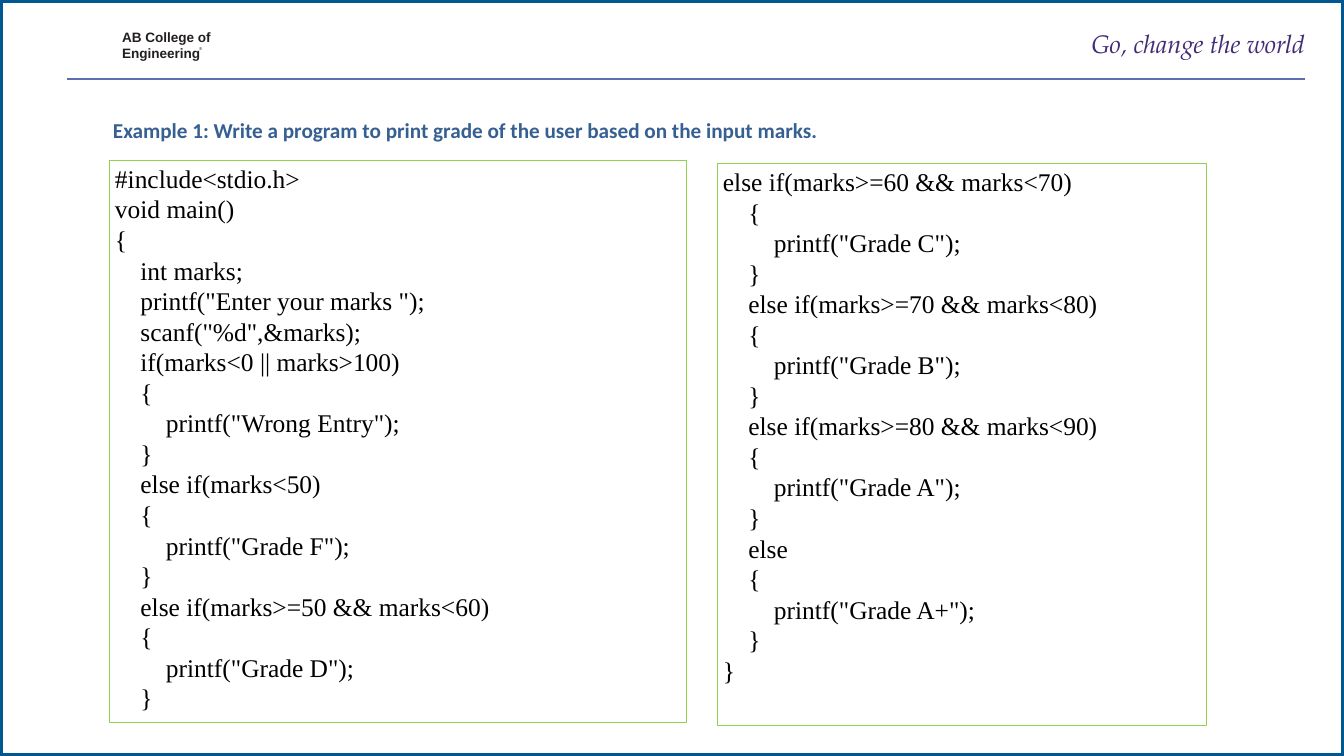
import pptx
import pptx.util
from lxml import etree
from pptx.dml.color import RGBColor
from pptx.enum.shapes import MSO_CONNECTOR, MSO_SHAPE
from pptx.enum.text import MSO_ANCHOR, PP_ALIGN
from pptx.oxml.ns import qn

COLORS = {"white": "FFFFFF", "frame": "005893", "rule": "5E6DB3", "college": "231F20",
          "motto": "422C75", "heading": "376092", "panel": "92D050", "code": "000000"}

SLIDE_SIZE = (1344, 756)
RULE = (67, 79, 1305, 79)
PANEL_TOP_LEFT = (109, 160)
PANEL_TOP_RIGHT = (717, 163)
PANEL_HEIGHT = 562

# box in px, insets in px, lines, font, paragraph format
LABELS = [
    ((122, 29, 92, 33), (0, 1), ["AB College of", "Engineering"],
     {"name": "Arial", "size": 16, "bold": True, "color": "college"},
     {"line_spacing": pptx.util.Pt(17.9), "space_before": pptx.util.Pt(1.4)}),
    ((199, 46, 8, 7), (0, 0), ["®"],
     {"name": "Arial", "size": 5, "color": "college"}, {}),
    ((1059, 28, 246, 31), (0, 0), ["Go, change the world"],
     {"name": "TeX Gyre Pagella", "size": 30, "italic": True, "color": "motto"},
     {"alignment": PP_ALIGN.RIGHT}),
    ((107, 114, 1100, 57), (6, 3),
     ["Example 1: Write a program to print grade of the user based on the input marks."],
     {"name": "Calibri", "size": 25, "bold": True, "color": "heading"}, {}),
]

LEFT_CODE = """#include<stdio.h>
void main()
{
    int marks;
    printf("Enter your marks ");
    scanf("%d",&marks);
    if(marks<0 || marks>100)
    {
        printf("Wrong Entry");
    }
    else if(marks<50)
    {
        printf("Grade F");
    }
    else if(marks>=50 && marks<60)
    {
        printf("Grade D");
    }"""

RIGHT_CODE = """else if(marks>=60 && marks<70)
    {
        printf("Grade C");
    }
    else if(marks>=70 && marks<80)
    {
        printf("Grade B");
    }
    else if(marks>=80 && marks<90)
    {
        printf("Grade A");
    }
    else
    {
        printf("Grade A+");
    }
}"""

PANELS = [(PANEL_TOP_LEFT, 577, LEFT_CODE), (PANEL_TOP_RIGHT, 489, RIGHT_CODE)]
CODE_FONT = {"name": "Times New Roman", "size": 30, "color": "code"}
CODE_FORMAT = {"alignment": PP_ALIGN.LEFT, "line_spacing": pptx.util.Pt(36)}
SPACE_WIDTH = pptx.util.Pt(7.5)


def px(*lengths):
    return [round(length * 914400 / 61.1) for length in lengths]


def color(name):
    return RGBColor.from_string(COLORS[name])


def write_lines(shape, insets, lines, font, layout):
    """Fill a shape with one paragraph per line, turning leading spaces into indents."""
    frame = shape.text_frame
    frame.word_wrap = True
    frame.vertical_anchor = MSO_ANCHOR.TOP
    side, top = px(*insets)
    frame.margin_left = frame.margin_right = side
    frame.margin_top = frame.margin_bottom = top
    for index, line in enumerate(lines):
        para = frame.add_paragraph() if index else frame.paragraphs[0]
        for key, value in layout.items():
            setattr(para, key, value)
        text = line.lstrip()
        depth = len(line) - len(text)
        if depth:
            para._p.get_or_add_pPr().set("marL", str(depth * SPACE_WIDTH))
        span = para.add_run()
        span.text = text
        for key, value in font.items():
            if key == "color":
                span.font.color.rgb = color(value)
            else:
                setattr(span.font, key, pptx.util.Pt(value) if key == "size" else value)


def add_frame(page, box, line, width, fill=None):
    shape = page.shapes.add_shape(MSO_SHAPE.RECTANGLE, *px(*box))
    shape.shadow.inherit = False
    if fill:
        shape.fill.solid()
        shape.fill.fore_color.rgb = color(fill)
    else:
        shape.fill.background()
    shape.line.color.rgb = color(line)
    shape.line.width = pptx.util.Pt(width)
    return shape


def main():
    deck = pptx.Presentation()
    deck.slide_width, deck.slide_height = px(*SLIDE_SIZE)
    page = deck.slides.add_slide(deck.slide_layouts[6])

    add_frame(page, (0, 0, *SLIDE_SIZE), "frame", 6, "white")
    rule = page.shapes.add_connector(MSO_CONNECTOR.STRAIGHT, *px(*RULE))
    rule.line.color.rgb = color("rule")
    rule.line.width = pptx.util.Pt(1.25)
    etree.SubElement(rule._element.spPr, qn("a:effectLst"))

    for box, insets, lines, font, layout in LABELS:
        label = page.shapes.add_textbox(*px(*box))
        write_lines(label, insets, lines, font, layout)
    for corner, width, code in PANELS:
        panel = add_frame(page, (*corner, width, PANEL_HEIGHT), "panel", 0.75)
        write_lines(panel, (6, 3), code.splitlines(), CODE_FONT, CODE_FORMAT)

    deck.save("out.pptx")


if __name__ == "__main__":
    main()
